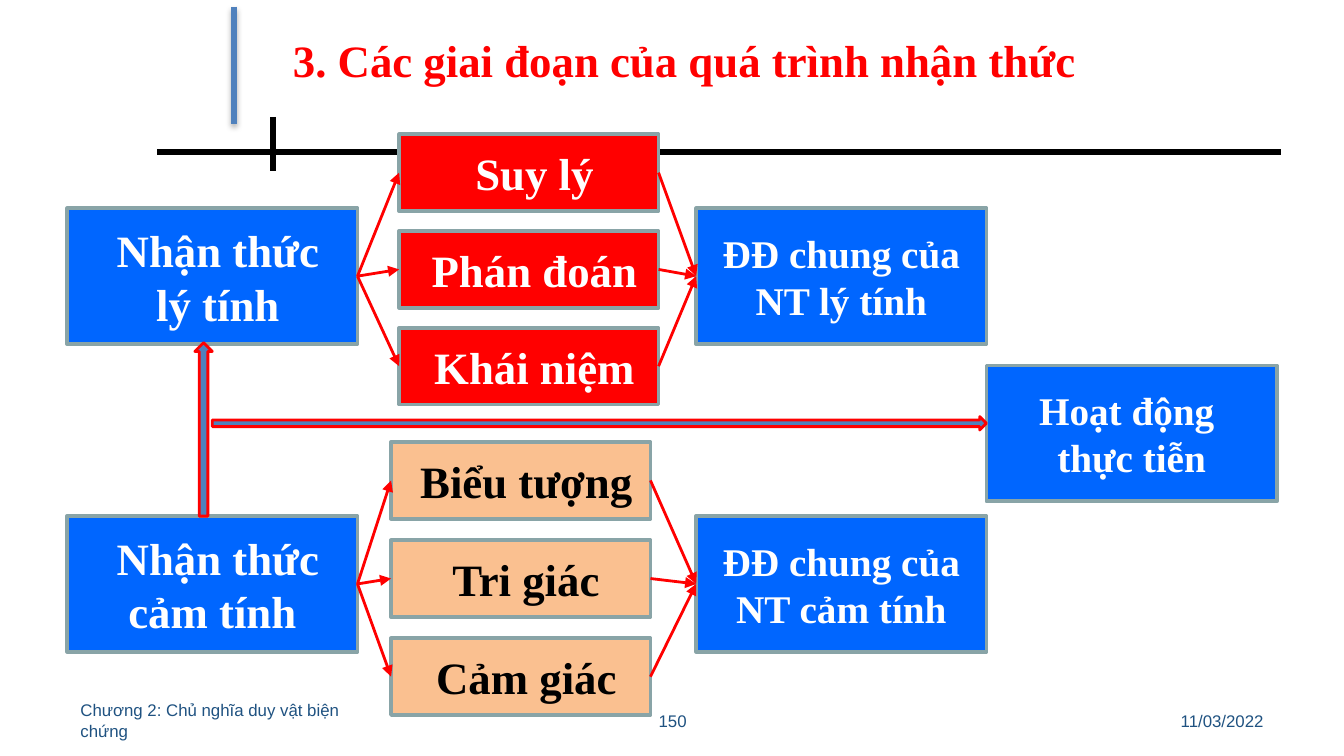
from lxml import etree
from pptx import Presentation
from pptx import util as u
from pptx.dml.color import RGBColor
from pptx.enum import shapes, text
from pptx.oxml import ns

COLORS = {
    "blue": "0066FF", "red": "FF0000", "peach": "FAC090", "steel": "4F81BD",
    "border": "89A4A7", "white": "FFFFFF", "black": "000000", "footer": "1F5281",
}
SERIF, SANS = "Times New Roman", "Arial"
COLUMNS, ROWS = 100, 56.25
CELL = u.Inches(10) / COLUMNS
NODE_WIDTH, NODE_HEIGHT = 21.6, 10.1
FORM_WIDTH, FORM_HEIGHT = 19.3, 5.7
NODE_DROP = 5.5


def grid(*cells):
    """Convert grid cells to slide lengths."""
    return [u.Emu(round(cell * CELL)) for cell in cells]


def color(name):
    """Return the named colour."""
    return RGBColor.from_string(COLORS[name])


def write(shape, words, size, font, ink, bold=True, align=text.PP_ALIGN.CENTER):
    """Fill a shape with evenly formatted, vertically centred text."""
    frame = shape.text_frame
    frame.text = words
    frame.word_wrap = True
    frame.auto_size = text.MSO_AUTO_SIZE.NONE
    frame.vertical_anchor = text.MSO_ANCHOR.MIDDLE
    for para in frame.paragraphs:
        para.alignment = align
        for span in para.runs:
            span.font.size, span.font.name, span.font.bold = u.Pt(size), font, bold
            span.font.color.rgb = color(ink)


def add_block(page, kind, box, fill, line, weight):
    """Add a filled and outlined preset shape."""
    block = page.shapes.add_shape(kind, *grid(*box))
    block.shadow.inherit = False
    block.fill.solid()
    block.fill.fore_color.rgb = color(fill)
    block.line.color.rgb = color(line)
    block.line.width = u.Pt(weight)
    return block


def add_node(page, box, words, size, fill="blue", ink="white"):
    """Add a labelled process box."""
    node = add_block(page, shapes.MSO_SHAPE.FLOWCHART_PROCESS, box, fill, "border", 2)
    write(node, words, size, SERIF, ink)
    return node


def add_line(page, ends, ink, weight):
    """Add a straight line and return it with its empty effect list."""
    line = page.shapes.add_connector(shapes.MSO_CONNECTOR.STRAIGHT, *grid(*ends))
    line.line.color.rgb = color(ink)
    line.line.width = u.Pt(weight)
    effects = etree.SubElement(line._element.spPr, ns.qn("a:effectLst"))
    return line, effects


def join(page, start, end):
    """Draw an arrow from the right side of one box to the left side of another."""
    arrow, _ = add_line(page, (0, 0, 1, 1), "red", 1.5)
    arrow.begin_connect(start, 3)
    arrow.end_connect(end, 1)
    etree.SubElement(arrow.line._get_or_add_ln(), ns.qn("a:tailEnd"), type="triangle")


def add_stage(page, box, name, forms, feature, fill, ink):
    """Build one stage of cognition: its name, its three forms and its features."""
    left, top, width, height, form_left = box
    node_top = top + NODE_DROP
    pitch = (height - FORM_HEIGHT) / (len(forms) - 1)
    source = add_node(page, (left, node_top, NODE_WIDTH, NODE_HEIGHT), name, 24)
    target = add_node(page, (left + width - NODE_WIDTH, node_top, NODE_WIDTH, NODE_HEIGHT),
                      feature, 21)
    for index, words in enumerate(forms):
        place = (form_left, top + index * pitch, FORM_WIDTH, FORM_HEIGHT)
        form = add_node(page, place, words, 24, fill, ink)
        join(page, source, form)
        join(page, form, target)


def add_heading(page, box):
    """Place the title with its rules."""
    left, top, width, height = box
    add_line(page, (11.7, 11.3, 95.3, 11.3), "black", 3)
    add_line(page, (20.3, 8.7, 20.3, 12.7), "black", 3)
    title = page.shapes.title
    title.left, title.top, title.width, title.height = grid(*box)
    write(title, "3. Các giai đoạn của quá trình nhận thức", 24, SERIF, "red")
    _, effects = add_line(page, (left + 1.1, 0.5, left + 1.1, 9.2), "steel", 3)
    shadow = etree.SubElement(effects, ns.qn("a:outerShdw"), blurRad=str(u.Pt(3.1)),
                              dist=str(u.Pt(1.8)), dir="5400000", rotWithShape="0")
    tint = etree.SubElement(shadow, ns.qn("a:srgbClr"), val=COLORS["black"])
    etree.SubElement(tint, ns.qn("a:alpha"), val="35000")


def add_practice(page, box):
    """Place the practice box and the block arrows that lead on from sensation."""
    add_node(page, box, "Hoạt động \nthực tiễn", 21)
    for kind, place in (
        (shapes.MSO_SHAPE.UP_ARROW, (14.5, 25.5, 1.3, 12.9)),
        (shapes.MSO_SHAPE.RIGHT_ARROW, (15.8, 31, box[0] - 15.8, 1)),
    ):
        add_block(page, kind, place, "steel", "red", 1.5)


def add_footer(page, box):
    """Place chapter, page number and date along the bottom."""
    left, top, width, height = box
    side = 23.3
    for x, span, words, align in (
        (left, side, "Chương 2: Chủ nghĩa duy vật biện chứng", text.PP_ALIGN.LEFT),
        (left + 29.2, 31.7, "150", text.PP_ALIGN.CENTER),
        (left + width - side, side, "11/03/2022", text.PP_ALIGN.RIGHT),
    ):
        label = page.shapes.add_textbox(*grid(x, top, span, height))
        write(label, words, 9, SANS, "footer", False, align)


def main():
    """Build and save the slide."""
    deck = Presentation()
    deck.slide_width, deck.slide_height = grid(COLUMNS, ROWS)
    page = deck.slides.add_slide(deck.slide_layouts[5])
    add_heading(page, (16.3, 2.1, 69.2, 4.6))
    add_stage(page, (5, 10, 68.4, 20.1, 29.7), " Nhận thức\n lý tính",
              (" Suy lý", " Phán đoán", " Khái niệm"),
              "ĐĐ chung của NT lý tính", "red", "white")
    add_stage(page, (5, 32.9, 68.4, 20.3, 29.1), " Nhận thức cảm tính",
              (" Biểu tượng", " Tri giác", " Cảm giác"),
              "ĐĐ chung của NT cảm tính", "peach", "black")
    add_practice(page, (73.4, 27.2, NODE_WIDTH, NODE_HEIGHT))
    add_footer(page, (5, 52.1, 90, 3))
    deck.save("out.pptx")


if __name__ == "__main__":
    main()
